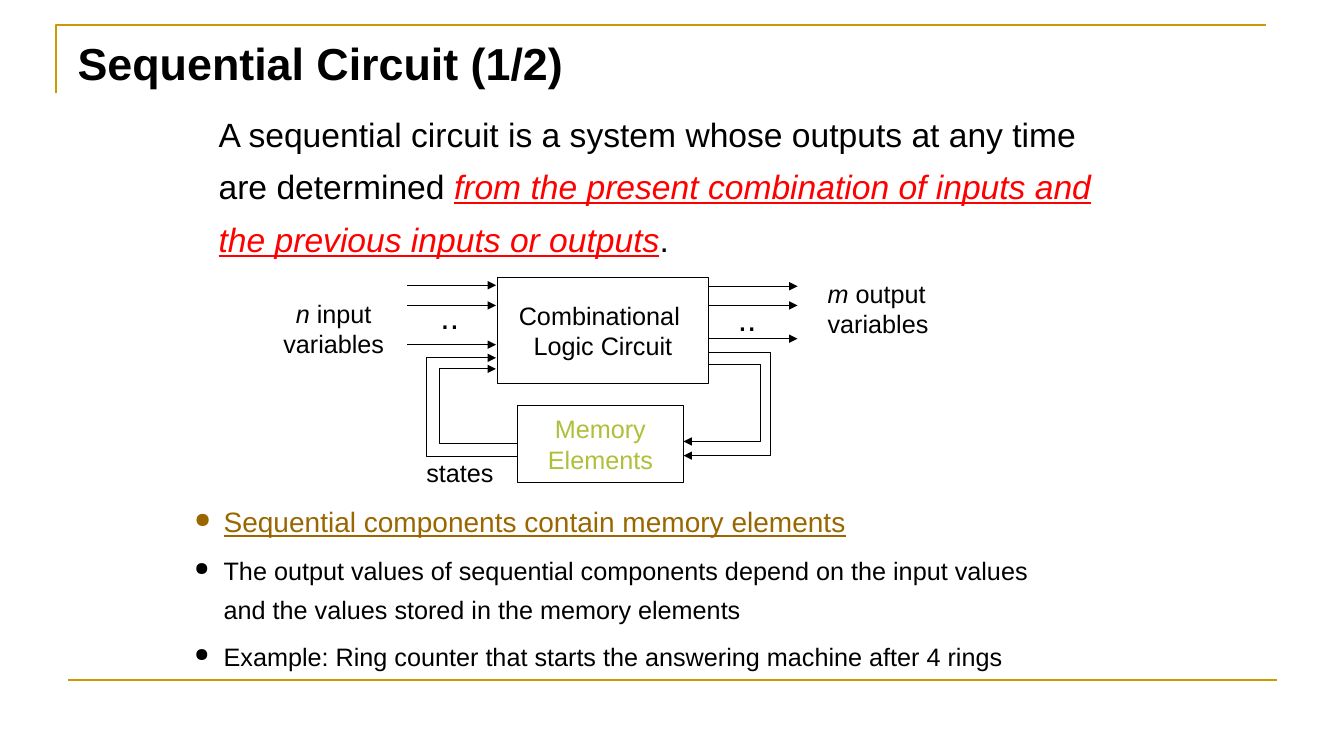
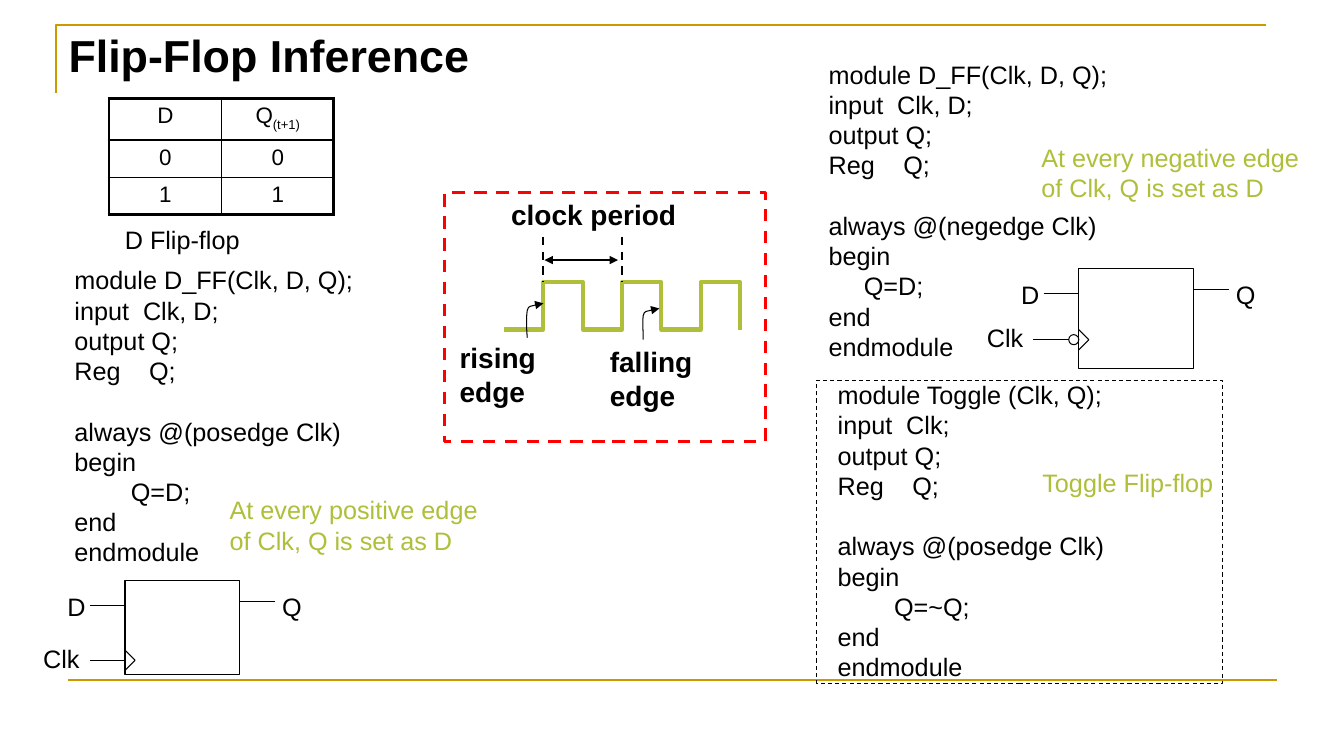
from lxml.etree import SubElement
from pptx import Presentation
from pptx.dml.color import RGBColor
from pptx.enum.dml import MSO_LINE
from pptx.enum.shapes import MSO_CONNECTOR, MSO_SHAPE
from pptx.enum.text import MSO_ANCHOR, MSO_AUTO_SIZE, PP_ALIGN
from pptx.oxml.ns import qn
from pptx.util import Inches, Pt

COLORS = {
    "ink": "000000",
    "paper": "FFFFFF",
    "gold": "CC9900",
    "brown": "996600",
    "olive": "AFBF39",
    "red": "FF0000",
}
FONT = "Arial"
TITLE_ONLY = 5
TAB_AFTER = {"input": 0.68, "Reg": 0.74}


def rgb(name):
    return RGBColor.from_string(COLORS[name])


def add_span(para, text, size=18, color="ink", bold=False, italic=False, underline=False):
    span = para.add_run()
    span.text = text
    font = span.font
    font.name, font.size = FONT, Pt(size)
    font.color.rgb = rgb(color)
    font.bold, font.italic, font.underline = bold, italic, underline


def write(frame, lines, align=PP_ALIGN.LEFT, spacing=None, **style):
    for index, line in enumerate(lines):
        para = frame.paragraphs[0] if index == 0 else frame.add_paragraph()
        para.alignment = align
        if spacing:
            para.line_spacing = spacing
        for text, changes in [(line, {})] if isinstance(line, str) else line:
            add_span(para, text, **{**style, **changes})
    return frame.paragraphs


def add_text(slide, place, lines, wrap=False, anchor=MSO_ANCHOR.TOP, **style):
    frame = slide.shapes.add_textbox(*map(Inches, place)).text_frame
    frame.word_wrap = wrap
    frame.vertical_anchor = anchor
    return write(frame, lines, **style)


def set_tab(para, position):
    tabs = SubElement(para._p.get_or_add_pPr(), qn("a:tabLst"))
    SubElement(tabs, qn("a:tab"), pos=str(Inches(position)), algn="l")


def set_indent(para, left, first=0):
    properties = para._p.get_or_add_pPr()
    properties.set("marL", str(Inches(left)))
    properties.set("indent", str(Inches(first)))


def style_line(shape, color="ink", width=0.75, dash=False, arrows=()):
    line = shape.line
    line.color.rgb = rgb(color)
    line.width = Pt(width)
    if dash:
        line.dash_style = MSO_LINE.DASH
    for end in arrows:
        SubElement(line._get_or_add_ln(), qn(f"a:{end}"), type="triangle")


def add_line(slide, start, end, **style):
    line = slide.shapes.add_connector(MSO_CONNECTOR.STRAIGHT, *map(Inches, start + end))
    style_line(line, **style)
    SubElement(line._element.spPr, qn("a:effectLst"))
    return line


def add_polyline(slide, points, **style):
    corners = [(Inches(x), Inches(y)) for x, y in points]
    builder = slide.shapes.build_freeform(*corners[0])
    builder.add_line_segments(corners[1:], close=False)
    shape = builder.convert_to_shape()
    shape.fill.background()
    shape.shadow.inherit = False
    style_line(shape, **style)
    return shape


def add_curve(slide, points, **style):
    shape = add_polyline(slide, points, **style)
    outline = shape._element.find(".//" + qn("a:path"))
    segments = outline.findall(qn("a:lnTo"))
    for first in range(0, len(segments), 3):
        bezier = SubElement(outline, qn("a:cubicBezTo"))
        for segment in segments[first:first + 3]:
            bezier.append(segment[0])
            outline.remove(segment)


def add_box(slide, place, fill=None, kind=MSO_SHAPE.RECTANGLE, **style):
    box = slide.shapes.add_shape(kind, *map(Inches, place))
    box.shadow.inherit = False
    if fill:
        box.fill.solid()
        box.fill.fore_color.rgb = rgb(fill)
    else:
        box.fill.background()
    style_line(box, **style)
    return box


def add_block(slide, place, lines, color="ink"):
    frame = add_box(slide, place, fill="paper").text_frame
    frame.word_wrap = False
    frame.vertical_anchor = MSO_ANCHOR.MIDDLE
    write(frame, lines, align=PP_ALIGN.CENTER, color=color)


def add_page(deck, title, place):
    page = deck.slides.add_slide(deck.slide_layouts[TITLE_ONLY])
    heading = page.shapes.title
    heading.left, heading.top, heading.width, heading.height = map(Inches, place)
    frame = heading.text_frame
    frame.word_wrap = False
    frame.auto_size = MSO_AUTO_SIZE.NONE
    frame.vertical_anchor = MSO_ANCHOR.TOP
    write(frame, [title], size=32, bold=True)
    return page


def add_frame_to_layout(page):
    corner = add_polyline(page, [(0.56, 0.92), (0.56, 0.25), (12.56, 0.25)], color="gold", width=1.5)
    footer = add_line(page, (0.67, 6.75), (12.67, 6.75), color="gold", width=1.5)
    for number, shape in enumerate((corner, footer), 101):
        shape._element.find(".//" + qn("p:cNvPr")).set("id", str(number))
        page.slide_layout.shapes.element.append(shape._element)


def add_bullets(slide, place, lines):
    for para in add_text(slide, place, lines, wrap=True, spacing=1.3):
        para.space_before = Pt(5.4)
        set_indent(para, 0.29, -0.29)
        properties = para._p.get_or_add_pPr()
        SubElement(properties, qn("a:buSzPct"), val="75000")
        SubElement(properties, qn("a:buChar"), char="●")


def add_code(slide, place, header, inputs, edge, statement, indent):
    lines = [f"module {header};", f"input\t{inputs};", "output Q;", "Reg\tQ;",
             f"always @({edge} Clk)", "begin", statement, "end", "endmodule"]
    paras = add_text(slide, place, lines, anchor=MSO_ANCHOR.MIDDLE)
    for line, para in zip(lines, paras):
        word = line.split("\t")[0]
        if word in TAB_AFTER:
            set_tab(para, TAB_AFTER[word])
        if line.startswith("always"):
            para.space_before = Pt(21.6)
        if line == statement:
            set_indent(para, indent)


def add_flip_flop(slide, left, top, height, clock, negative_edge=False):
    width, lead, bubble = 1.14, 0.35, 0.1
    right, clock_y = left + width, top + clock
    clock_end = left - bubble if negative_edge else left
    add_box(slide, (left, top, width, height))
    add_line(slide, (left - lead, top + 0.25), (left, top + 0.25))
    add_line(slide, (right, top + 0.21), (right + lead, top + 0.21))
    add_line(slide, (clock_end - lead, clock_y), (clock_end, clock_y))
    add_polyline(slide, [(left, clock_y - 0.1), (left + 0.1, clock_y), (left, clock_y + 0.1)])
    if negative_edge:
        add_box(slide, (clock_end, clock_y - bubble / 2, bubble, bubble), kind=MSO_SHAPE.OVAL)
    pins = (("D", left - 0.67, top + 0.06, 0.38), ("Q", right + 0.32, top + 0.06, 0.4),
            ("Clk", clock_end - 0.91, clock_y - 0.22, 0.56))
    for name, pin_left, pin_top, pin_width in pins:
        add_text(slide, (pin_left, pin_top, pin_width, 0.4), [name])


def add_truth_table(slide, left, top, column_widths, row_heights, rows):
    table = slide.shapes.add_table(
        len(rows), len(column_widths), Inches(left), Inches(top),
        Inches(sum(column_widths)), Inches(sum(row_heights))).table
    for column, width in zip(table.columns, column_widths):
        column.width = Inches(width)
    for row, height in zip(table.rows, row_heights):
        row.height = Inches(height)
    for r, row in enumerate(rows):
        for c, content in enumerate(row):
            cell = table.cell(r, c)
            write(cell.text_frame, [content], align=PP_ALIGN.CENTER, size=16)
            outer = {"L": c == 0, "R": c == len(row) - 1, "T": r == 0, "B": r == len(rows) - 1}
            properties = cell._tc.get_or_add_tcPr()
            for side, is_outer in outer.items():
                border = SubElement(properties, qn(f"a:ln{side}"), w=str(Pt(2.25 if is_outer else 1)))
                fill = SubElement(border, qn("a:solidFill"))
                SubElement(fill, qn("a:srgbClr"), val=COLORS["ink"])
            cell.fill.background()
    return table


def add_clock_diagram(slide):
    low, high, half, start = 3.27, 2.8, 0.39, 5.0
    wave = [(start, low)]
    for edge in range(1, 7):
        x = start + edge * half
        wave += [(x, low), (x, high)] if edge % 2 else [(x, high), (x, low)]
    add_polyline(slide, wave, color="olive", width=3)
    for x in (start + half, start + 3 * half):
        add_line(slide, (x, 2.35), (x, high), width=1.5, dash=True)
    add_line(slide, (5.4, 2.58), (6.13, 2.58), width=1.5, arrows=("headEnd", "tailEnd"))
    add_curve(slide, [(5.23, 3.35), (5.22, 3.24), (5.22, 3.14), (5.23, 3.08), (5.24, 3.03),
                      (5.27, 3.04), (5.3, 3.03), (5.33, 3.02), (5.36, 3.01), (5.39, 3.01)],
              arrows=("tailEnd",))
    add_curve(slide, [(6.38, 3.37), (6.38, 3.27), (6.37, 3.18), (6.38, 3.13), (6.39, 3.08),
                      (6.42, 3.09), (6.45, 3.08), (6.48, 3.07), (6.51, 3.07), (6.54, 3.06)],
              arrows=("tailEnd",))
    add_text(slide, (4.46, 3.33, 1.44, 0.77), ["rising edge"], wrap=True, size=20, bold=True)
    add_text(slide, (5.95, 3.37, 1.54, 0.77), ["falling edge"], wrap=True, size=20, bold=True)
    add_text(slide, (4.97, 1.91, 1.85, 0.44), ["clock period"], size=20, bold=True)
    add_box(slide, (4.41, 1.91, 3.18, 2.47), color="red", width=2.25, dash=True)


def add_circuit_diagram(slide):
    add_block(slide, (4.93, 2.75, 2.1, 1.06), ["Combinational ", "Logic Circuit"])
    add_block(slide, (5.13, 4.02, 1.65, 0.77), ["Memory", "Elements"], color="olive")
    for left, heights in ((4.04, (2.83, 3.03, 3.42)), (7.03, (2.84, 3.03, 3.36))):
        for y in heights:
            add_line(slide, (left, y), (left + 0.88, y), arrows=("tailEnd",))
    loops = ((7.03, 3.62, 7.54, 4.38, 6.78), (7.03, 3.5, 7.64, 4.52, 6.78),
             (5.13, 4.4, 4.36, 3.66, 4.92), (5.13, 4.53, 4.23, 3.55, 4.92))
    for start, start_y, side, end_y, end in loops:
        add_polyline(slide, [(start, start_y), (side, start_y), (side, end_y), (end, end_y)],
                     arrows=("tailEnd",))
    add_text(slide, (4.27, 2.89, 0.39, 0.5), [".."], size=24)
    add_text(slide, (7.22, 2.91, 0.39, 0.5), [".."], size=24)
    add_text(slide, (2.71, 2.91, 1.2, 0.7),
             [[("n", {"italic": True}), (" input", {})], "variables"], align=PP_ALIGN.CENTER)
    add_text(slide, (8.11, 2.71, 1.24, 0.7),
             [[("m", {"italic": True}), (" output", {})], "variables"])
    add_text(slide, (4.13, 4.49, 0.87, 0.4), ["states"])


def build_sequential_circuit(deck):
    page = add_page(deck, "Sequential Circuit (1/2)", (0.67, 0.3, 5.06, 0.64))
    add_frame_to_layout(page)
    add_text(page, (2.07, 0.96, 9.02, 2.2), [[
        ("A sequential circuit is a system whose outputs at any time are determined ", {}),
        ("from the present combination of inputs and the previous inputs or outputs",
         {"color": "red", "italic": True, "underline": True}),
        (".", {}),
    ]], wrap=True, size=24, spacing=1.3)
    add_circuit_diagram(page)
    add_bullets(page, (1.83, 4.86, 8.57, 1.89), [
        [("Sequential components contain memory elements",
          {"size": 20, "color": "brown", "underline": True})],
        "The output values of sequential components depend on the input values "
        "and the values stored in the memory elements",
        "Example: Ring counter that starts the answering machine after 4 rings",
    ])


def build_flip_flop_inference(deck):
    page = add_page(deck, "Flip-Flop Inference", (0.58, 0.22, 4.33, 0.64))
    table = add_truth_table(page, 1.08, 0.98, (1.12, 1.11), (0.41, 0.37, 0.37),
                            [["D", [("Q", {}), ("(t+1)", {})]], ["0", "0"], ["1", "1"]])
    subscript = table.cell(0, 1).text_frame.paragraphs[0].runs[1]
    subscript._r.get_or_add_rPr().set("baseline", "-25000")
    add_text(page, (1.14, 2.18, 1.34, 0.4), ["D Flip-flop"])
    add_code(page, (0.64, 2.67, 2.99, 2.91), "D_FF(Clk, D, Q)", "Clk, D", "posedge", "Q=D;", 0.56)
    add_code(page, (8.12, 0.63, 2.99, 2.91), "D_FF(Clk, D, Q)", "Clk, D", "negedge", "Q=D;", 0.35)
    add_code(page, (8.21, 3.81, 2.99, 2.91), "Toggle (Clk, Q)", "Clk", "posedge", "Q=~Q;", 0.56)
    add_box(page, (8.1, 3.77, 4.03, 3.01), dash=True)
    for place, edge in (((2.18, 4.86, 2.73, 0.7), "positive"), ((10.23, 1.36, 2.83, 0.7), "negative")):
        add_text(page, place, [f"At every {edge} edge", "of Clk, Q is set as D"], color="olive")
    add_text(page, (10.24, 4.59, 1.92, 0.4), ["Toggle Flip-flop"], color="olive")
    add_flip_flop(page, 1.24, 5.76, 0.93, 0.79)
    add_flip_flop(page, 10.7, 2.66, 1, 0.71, negative_edge=True)
    add_clock_diagram(page)


def main():
    deck = Presentation()
    deck.slide_width, deck.slide_height = Inches(13.33), Inches(7.5)
    build_sequential_circuit(deck)
    build_flip_flop_inference(deck)
    deck.save("out.pptx")


if __name__ == "__main__":
    main()
